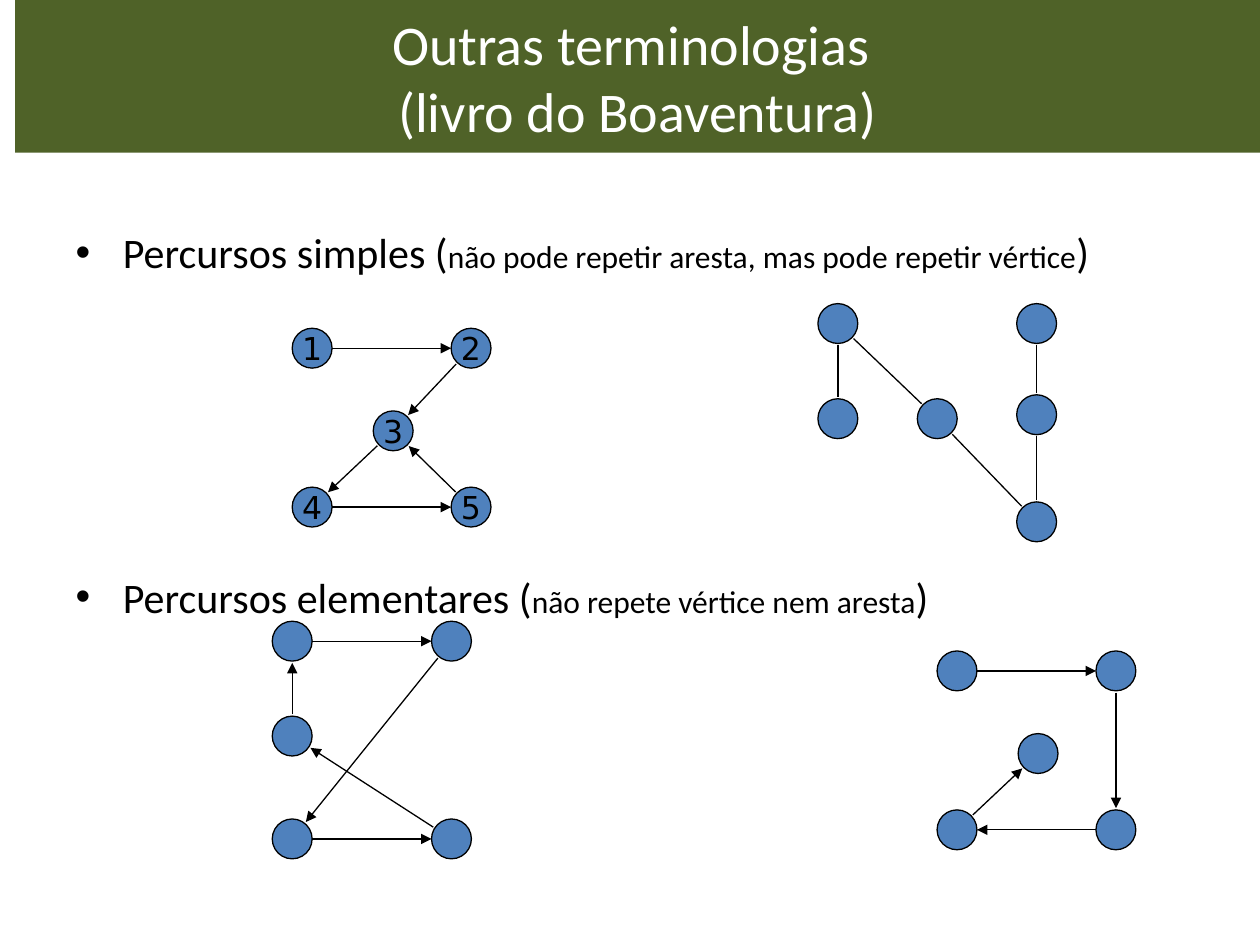
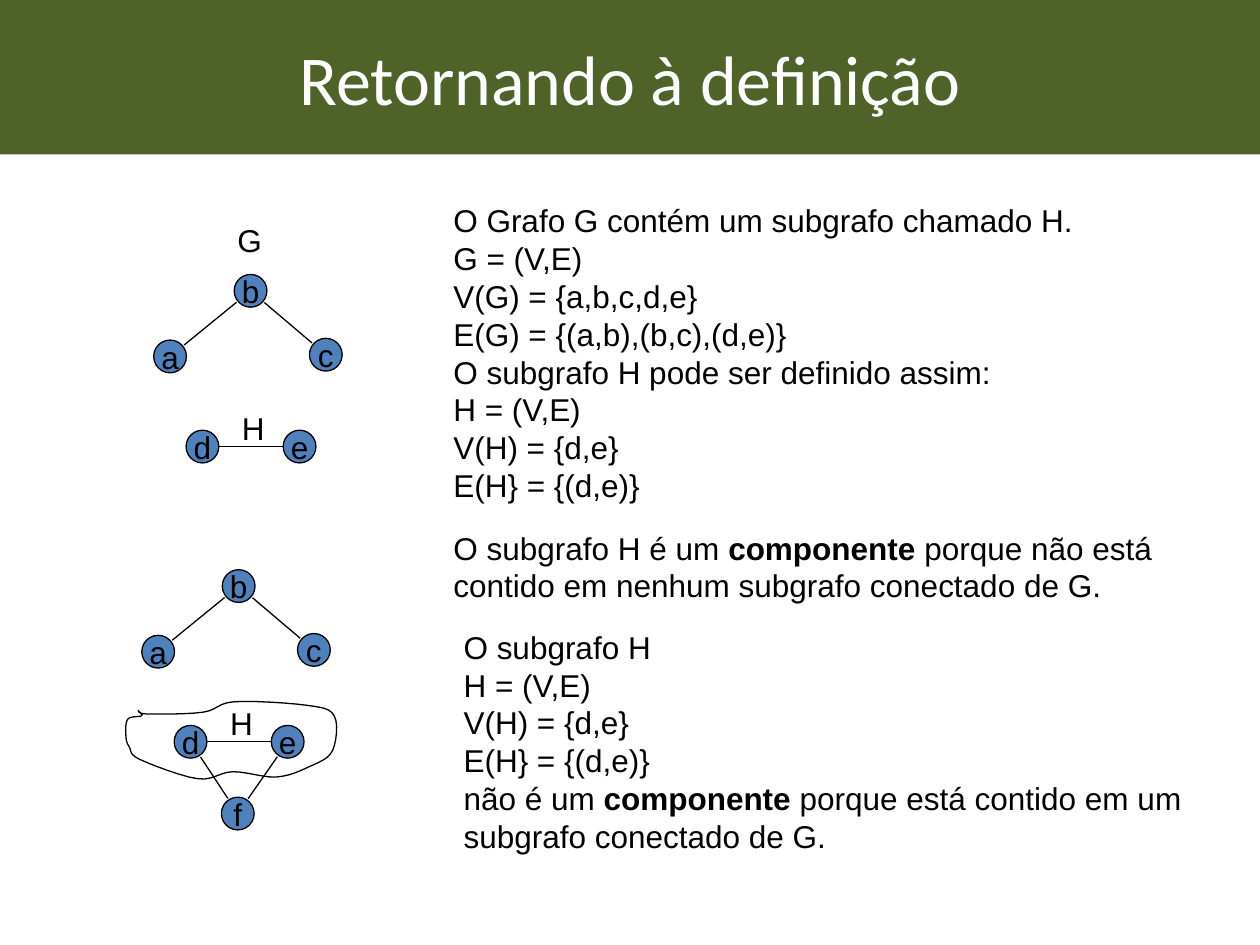
from math import hypot

from lxml import etree
from pptx import Presentation
from pptx.dml.color import RGBColor
from pptx.enum.shapes import MSO_CONNECTOR, MSO_SHAPE
from pptx.enum.text import MSO_ANCHOR, MSO_AUTO_SIZE, PP_ALIGN
from pptx.oxml.ns import qn
from pptx.util import Pt

OVAL = MSO_SHAPE.OVAL
STRAIGHT = MSO_CONNECTOR.STRAIGHT
MIDDLE = MSO_ANCHOR.MIDDLE
CENTER = PP_ALIGN.CENTER
NO_FIT = MSO_AUTO_SIZE.NONE

color = RGBColor.from_string
BAND_GREEN = "4F6228"
NODE_BLUE = "4F81BD"
BLACK = "000000"
WHITE = "FFFFFF"
SLIDE_WIDTH, SLIDE_HEIGHT = 720, 540
LINE_WIDTH = 0.75
TEXT_SIZE = 18


def style_paragraph(paragraph, font_name, size, hex_color=BLACK):
    paragraph.font.name = font_name
    paragraph.font.size = Pt(size)
    paragraph.font.color.rgb = color(hex_color)


def draw_graph(slide, origin, scale, layout, edges, radius, label_font=None, directed=False):
    """Layout maps node names to places; an edge is two node names, such as "ab"."""
    centers = {name: (origin[0] + x * scale[0], origin[1] + y * scale[1])
               for name, (x, y) in layout.items()}
    for name, (x, y) in centers.items():
        node = slide.shapes.add_shape(
            OVAL, Pt(x - radius), Pt(y - radius), Pt(2 * radius), Pt(2 * radius))
        node.shadow.inherit = False
        node.fill.solid()
        node.fill.fore_color.rgb = color(NODE_BLUE)
        node.line.color.rgb = color(BLACK)
        node.line.width = Pt(LINE_WIDTH)
        if label_font:
            frame = node.text_frame
            frame.word_wrap = False
            frame.vertical_anchor = MIDDLE
            frame.text = name
            frame.paragraphs[0].alignment = CENTER
            style_paragraph(frame.paragraphs[0], label_font, TEXT_SIZE)

    # Each edge follows the line between two centres and stops at the circles
    for start, end in edges.split():
        (x1, y1), (x2, y2) = centers[start], centers[end]
        gap = 0 if y1 == y2 else 1
        ratio = (radius + gap) / hypot(x2 - x1, y2 - y1)
        trim_x, trim_y = (x2 - x1) * ratio, (y2 - y1) * ratio
        edge = slide.shapes.add_connector(
            STRAIGHT, Pt(x1 + trim_x), Pt(y1 + trim_y), Pt(x2 - trim_x), Pt(y2 - trim_y))
        edge.line.color.rgb = color(BLACK)
        edge.line.width = Pt(LINE_WIDTH)
        properties = edge.element.spPr
        if directed:
            etree.SubElement(properties.find(qn("a:ln")), qn("a:tailEnd"), type="triangle")
        etree.SubElement(properties, qn("a:effectLst"))


presentation = Presentation()
presentation.slide_width = Pt(SLIDE_WIDTH)
presentation.slide_height = Pt(SLIDE_HEIGHT)
paths_slide = presentation.slides.add_slide(presentation.slide_layouts[1])
definition_slide = presentation.slides.add_slide(presentation.slide_layouts[5])

# Title bands
for slide, text, left, height, size in [
    (paths_slide, "Outras terminologias \v(livro do Boaventura)", 8.6, 87.2, 32),
    (definition_slide, "Retornando à definição", 0, 88.3, 40),
]:
    title = slide.shapes.title
    title.left, title.top = Pt(left), Pt(0)
    title.width, title.height = Pt(SLIDE_WIDTH - left), Pt(height)
    title.fill.solid()
    title.fill.fore_color.rgb = color(BAND_GREEN)
    frame = title.text_frame
    frame.auto_size = NO_FIT
    frame.vertical_anchor = MIDDLE
    frame.text = text
    frame.paragraphs[0].alignment = CENTER
    style_paragraph(frame.paragraphs[0], "Calibri", size, WHITE)

# Slide 1: the two kinds of path, spaced to leave room for graphs
KIND_SIZE, RULE_SIZE = 24, 18
body = paths_slide.placeholders[1]
body.left, body.top, body.width, body.height = Pt(36), Pt(126), Pt(648), Pt(356.4)
frame = body.text_frame
frame.auto_size = NO_FIT
for index, (kind, rule, space_before) in enumerate([
    ("Percursos simples", "não pode repetir aresta, mas pode repetir vértice", 6),
    ("Percursos elementares", "não repete vértice nem aresta", 168),
]):
    paragraph = frame.add_paragraph() if index else frame.paragraphs[0]
    paragraph.space_before = Pt(space_before)
    style_paragraph(paragraph, "Calibri", KIND_SIZE)
    for text, size in [(f"{kind} (", KIND_SIZE), (rule, RULE_SIZE), (")", KIND_SIZE)]:
        run = paragraph.add_run()
        run.text = text
        run.font.size = Pt(size)

# Slide 1: layouts in a unit square, scaled to each graph
PATH_RADIUS = 11.4
CORNERS = {"1": (0, 0), "2": (1, 0), "4": (0, 1), "5": (1, 1)}
WITH_CENTER = CORNERS | {"3": (0.51, 0.52)}
WITH_LEFT_SIDE = CORNERS | {"3": (0, 0.48)}
LETTER_N = {"1": (0, 0), "2": (1, 0), "3": (0, 0.48), "4": (0.5, 0.48),
            "5": (1, 0.46), "6": (1, 1)}

draw_graph(paths_slide, (178.4, 199), (90.8, 90.8), WITH_CENTER,
           "12 23 34 45 53", PATH_RADIUS, "DejaVu Sans", directed=True)
draw_graph(paths_slide, (478.8, 184.9), (113.6, 113.3), LETTER_N,
           "31 14 46 65 52", PATH_RADIUS)
draw_graph(paths_slide, (167, 366.4), (91, 113), WITH_LEFT_SIDE,
           "12 24 45 53 31", PATH_RADIUS, directed=True)
draw_graph(paths_slide, (546.9, 383.4), (90.8, 90.8), WITH_CENTER,
           "12 25 54 43", PATH_RADIUS, directed=True)

# Slide 2: graph G measured from vertex b, then again with vertex f added
GRAPH_RADIUS = 9.35
UPPER_B = (143.2, 166.2)
LOWER_B = (136.4, 334.9)
GRAPH_G = {"b": (0, 0), "a": (-46, 37.5), "c": (43, 36.5), "d": (-27.5, 89), "e": (28, 89)}
GRAPH_WITH_F = GRAPH_G | {"f": (-0.5, 130)}
for origin, layout, edges in [
    (UPPER_B, GRAPH_G, "ba bc de"),
    (LOWER_B, GRAPH_WITH_F, "ba bc de df fe"),
]:
    draw_graph(definition_slide, origin, (1, 1), layout, edges, GRAPH_RADIUS, "Arial")

# Slide 2: graph names, placed relative to vertex b, and explanations
G_OFFSET, H_OFFSET = (-14.6, -43.6), (-12, 64)
LABEL_WIDTH, LABEL_HEIGHT = 28, 28.8
LINE_HEIGHT, BOX_PADDING = 21.6, 7.2
TEXT_LEFT, TEXT_WIDTH = 252, 442
SUBGRAPH_H = ["H = (V,E)", "V(H) = {d,e}", "E(H} = {(d,e)}"]
boxes = [
    (origin[0] + offset[0], origin[1] + offset[1], LABEL_WIDTH, LABEL_HEIGHT, False, [name])
    for name, origin, offset in [
        ("G", UPPER_B, G_OFFSET), ("H", UPPER_B, H_OFFSET), ("H", LOWER_B, H_OFFSET)]
]
for left, top, width, line_count, lines in [
    (TEXT_LEFT, 111.6, TEXT_WIDTH + 11.6, 8, [
        "O Grafo G contém um subgrafo chamado H.", "G = (V,E)",
        "V(G) = {a,b,c,d,e}", "E(G) = {(a,b),(b,c),(d,e)}",
        "O subgrafo H pode ser definido assim:", *SUBGRAPH_H]),
    (TEXT_LEFT, 298.5, TEXT_WIDTH, 2, [
        "O subgrafo H é um *componente* porque não está contido em "
        "nenhum subgrafo conectado de G."]),
    (TEXT_LEFT + 5.8, 355.2, TEXT_WIDTH, 6, [
        "O subgrafo H", *SUBGRAPH_H,
        "não é um *componente* porque está contido em um subgrafo conectado de G."]),
]:
    height = line_count * LINE_HEIGHT + BOX_PADDING
    boxes.append((left, top, width, height, True, lines))

for left, top, width, height, wrap, lines in boxes:
    box = definition_slide.shapes.add_textbox(Pt(left), Pt(top), Pt(width), Pt(height))
    frame = box.text_frame
    frame.word_wrap = wrap
    for index, line in enumerate(lines):
        paragraph = frame.add_paragraph() if index else frame.paragraphs[0]
        style_paragraph(paragraph, "Arial", TEXT_SIZE)
        # Asterisks enclose bold words, so every second piece is bold
        for piece_index, piece in enumerate(line.split("*")):
            run = paragraph.add_run()
            run.text = piece
            if piece_index % 2:
                run.font.bold = True

# Slide 2: loose outline around H, a smooth curve through a few knots
SMOOTH_STEPS = 6
top_knots = [(79, 406), (84, 408), (116, 407), (134, 401), (175, 403)]
right_knots = [(191, 409), (190, 429), (177, 438)]
bottom_knots = [(158, 444), (133, 441), (113, 445), (80, 434)]
left_knots = [(74, 427), (72, 421), (73, 411), (81, 409)]
knots = top_knots + right_knots + bottom_knots + left_knots
curve = []
for index in range(len(knots)):
    # Catmull-Rom spline: the neighbours of each stretch set its bend
    before, start, end, after = [knots[(index + step) % len(knots)] for step in (-1, 0, 1, 2)]
    for step in range(SMOOTH_STEPS):
        t = step / SMOOTH_STEPS
        curve.append([
            Pt(b + t * (c - a) / 2 + t ** 2 * (2 * a - 5 * b + 4 * c - d) / 2
               + t ** 3 * (3 * b - a - 3 * c + d) / 2)
            for a, b, c, d in zip(before, start, end, after)])
builder = definition_slide.shapes.build_freeform(*curve[0])
builder.add_line_segments(curve[1:], close=True)
outline = builder.convert_to_shape()
outline.shadow.inherit = False
outline.fill.background()
outline.line.color.rgb = color(BLACK)
outline.line.width = Pt(LINE_WIDTH)

presentation.save("out.pptx")
